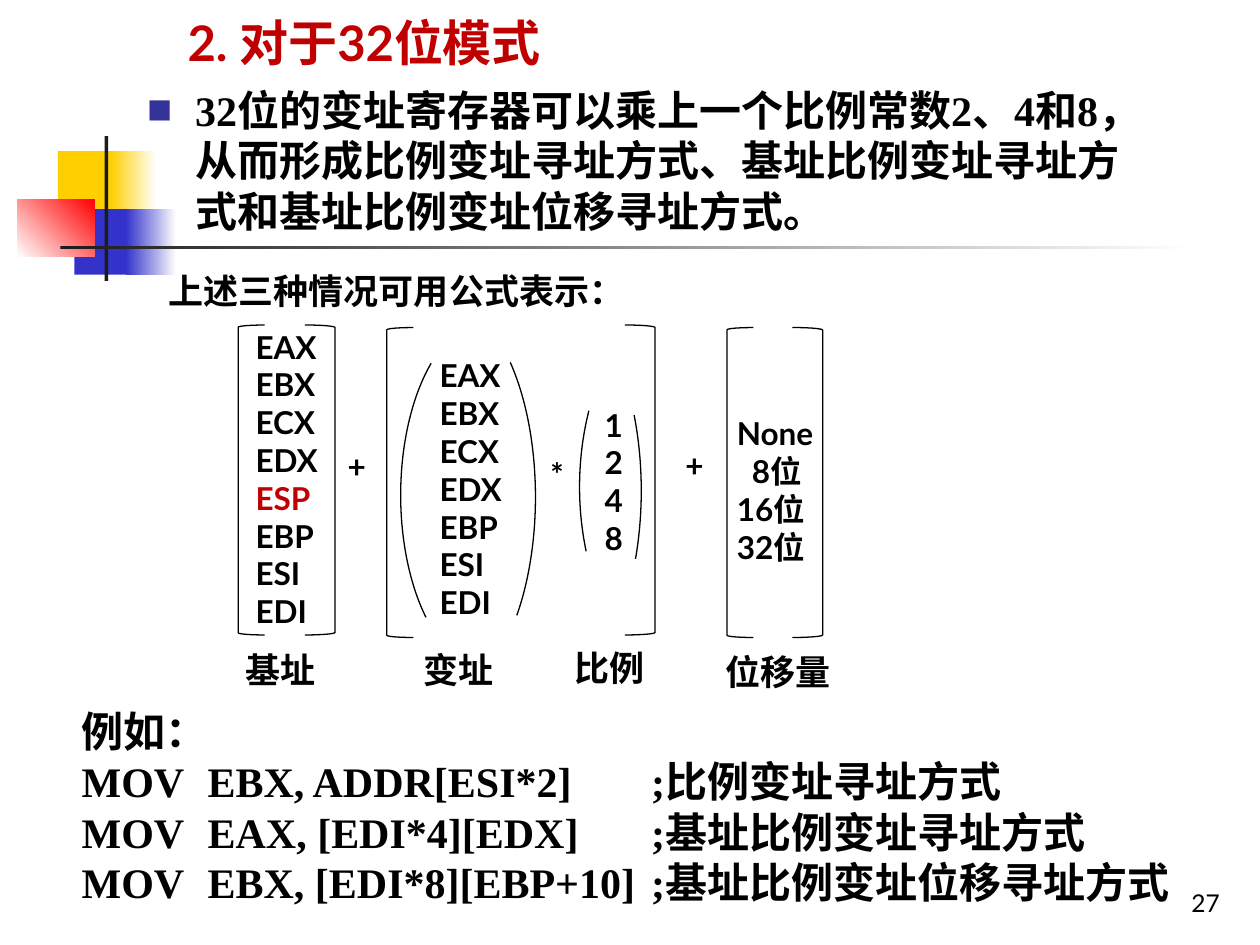
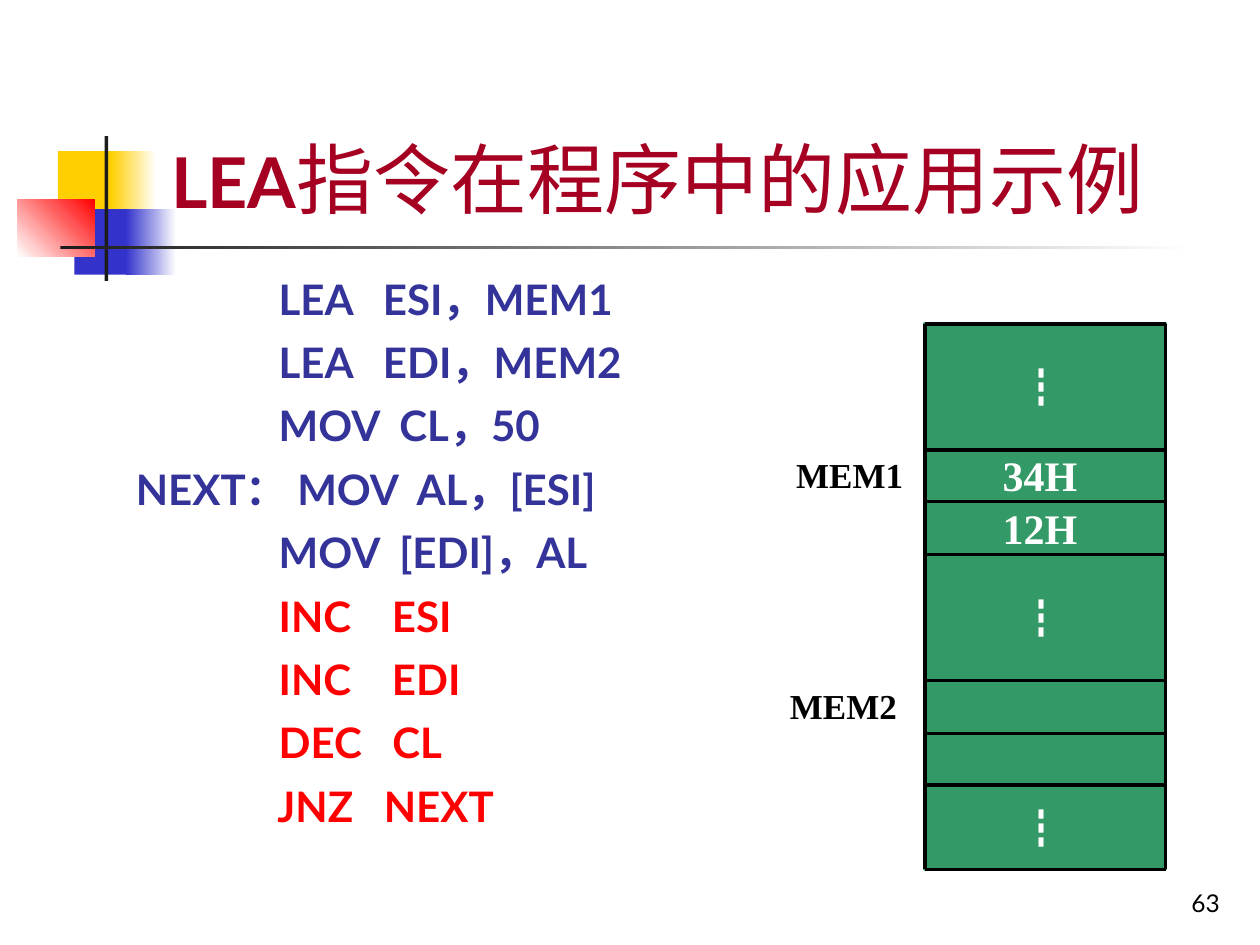
"""Two slides on 32-bit scaled index addressing and the LEA instruction."""
import pptx
import pptx.dml.color
import pptx.enum.shapes
import pptx.enum.text
import pptx.oxml
import pptx.oxml.ns
import pptx.util
from lxml import etree

Inches = pptx.util.Inches
Pt = pptx.util.Pt
RGB = pptx.dml.color.RGBColor.from_string
qn = pptx.oxml.ns.qn
SHAPE = pptx.enum.shapes.MSO_SHAPE
ANCHOR = pptx.enum.text.MSO_ANCHOR
ALIGN = pptx.enum.text.PP_ALIGN

COLORS = {
    "text": "000000", "white": "FFFFFF", "heading": "C00000", "title": "A50021",
    "code": "333399", "loop": "FF0000", "memory": "339966",
    "yellow": "FFCF01", "blue": "3333CC", "red": "FF0000", "rule": "1C1C1C",
}
SANS, SERIF, CJK = "Lato", "Times New Roman", "Noto Sans CJK SC"


def add_text(slide, box, text, size, font=SANS, color="text", bold=True, anchor=ANCHOR.TOP):
    frame = slide.shapes.add_textbox(*map(Inches, box)).text_frame
    frame.word_wrap = True
    frame.vertical_anchor = anchor
    frame.text = text
    for paragraph in frame.paragraphs:
        for run in paragraph.runs:
            run.font.size = Pt(size)
            run.font.name = font
            run.font.bold = bold
            run.font.color.rgb = RGB(COLORS[color])
            etree.SubElement(run._r.get_or_add_rPr(), qn("a:ea"), typeface=CJK)
    return frame.paragraphs


def add_part(slide, kind, box, fill=None, fade=None, angle=0, line=None, width=0.75, flip=False):
    part = slide.shapes.add_shape(kind, *map(Inches, box))
    part.shadow.inherit = False
    if fade:
        part.fill.gradient()
        part.fill.gradient_angle = angle
        for stop, color in zip(part.fill.gradient_stops, (fill, fade)):
            stop.color.rgb = RGB(COLORS[color])
    elif fill:
        part.fill.solid()
        part.fill.fore_color.rgb = RGB(COLORS[fill])
    else:
        part.fill.background()
    if line:
        part.line.color.rgb = RGB(COLORS[line])
        part.line.width = Pt(width)
    else:
        part.line.fill.background()
    if flip:
        part._element.spPr.find(qn("a:xfrm")).set("flipH", "1")
    return part


deck = pptx.Presentation()
deck.slide_width, deck.slide_height = Inches(10), Inches(7.5)

MOTIF = [
    ((0.46, 1.2, 0.48, 0.52), "yellow", None, 0),
    ((0.88, 1.2, 0.36, 0.52), "yellow", "white", 0),
    ((0.59, 1.66, 0.46, 0.52), "blue", None, 0),
    ((1, 1.66, 0.4, 0.52), "blue", "white", 0),
    ((0.14, 1.58, 0.61, 0.46), "white", "red", 45),
    ((0.83, 1.08, 0.03, 1.15), "rule", None, 0),
    ((0.48, 1.95, 9, 0.03), "rule", "white", 0),
]
slides = []
for number in ("27", "63"):
    slide = deck.slides.add_slide(deck.slide_layouts[6])
    for box, fill, fade, angle in MOTIF:
        add_part(slide, SHAPE.RECTANGLE, box, fill, fade, angle)
    footer = add_text(slide, (7.7, 6.83, 2.08, 0.5), number, 14, bold=False, anchor=ANCHOR.BOTTOM)
    footer[0].alignment = ALIGN.RIGHT
    slides.append(slide)
addressing, lea = slides

add_text(addressing, (1.39, 0.05, 7.24, 0.57), "2. 对于32位模式", 28, color="heading")
rule_text = add_text(
    addressing, (1.07, 0.62, 8.19, 1.31),
    "32位的变址寄存器可以乘上一个比例常数2、4和8，从而形成比例变址寻址方式、"
    "基址比例变址寻址方式和基址比例变址位移寻址方式。", 24, SERIF)
bullet = rule_text[0]._p.get_or_add_pPr()
bullet.set("marL", str(Inches(0.38)))
bullet.set("indent", str(Inches(-0.38)))
etree.SubElement(etree.SubElement(bullet, qn("a:buClr")), qn("a:srgbClr"), val=COLORS["code"])
etree.SubElement(bullet, qn("a:buSzPct"), val="60000")
etree.SubElement(bullet, qn("a:buFont"), typeface=CJK)
etree.SubElement(bullet, qn("a:buChar"), char="■")

add_text(addressing, (1.24, 2.09, 5.2, 0.44), "上述三种情况可用公式表示：", 20)

base = add_text(addressing, (1.93, 2.55, 0.87, 2.52),
                "EAX\nEBX\nECX\nEDX\nESP\nEBP\nESI\nEDI", 18)
base[4].runs[0].font.color.rgb = RGB(COLORS["heading"])
add_text(addressing, (3.39, 2.78, 0.87, 2.22), "EAX\nEBX\nECX\nEDX\nEBP\nESI\nEDI", 18)
add_text(addressing, (4.7, 3.17, 0.35, 1.31), "1\n2\n4\n8", 18)
displacement = add_text(addressing, (5.75, 3.24, 0.87, 1.31), "None\n8位\n16位\n32位", 18)
displacement[1]._p.get_or_add_pPr().set("marL", str(Inches(0.12)))

for left, right, top in ((1.89, 2.42, 2.58), (3.07, None, 2.6), (None, 4.96, 2.58), (5.77, 6.29, 2.6)):
    if left:
        add_part(addressing, SHAPE.LEFT_BRACKET, (left, top, 0.21, 2.46), line="text")
    if right:
        add_part(addressing, SHAPE.LEFT_BRACKET, (right, top, 0.24, 2.46), line="text", flip=True)

PARENTHESES = [
    ((2.79, 2.39, 1.46, 3.11), 296.4, 58.2, False),
    ((3.18, 2.55, 1.39, 2.76), 293.4, 63, True),
    ((3.63, 2.34, 1.46, 3.11), 318.3, 38.3, False),
    ((4.6, 2.31, 1.88, 3.11), 325.1, 29.9, True),
]
for box, start, end, flip in PARENTHESES:
    parenthesis = add_part(addressing, SHAPE.ARC, box, line="text", flip=flip)
    parenthesis.adjustments[0] = start * 0.6
    parenthesis.adjustments[1] = end * 0.6

for sign, left, top in (("+", 2.66, 3.5), ("+", 5.34, 3.49), ("*", 4.27, 3.56)):
    add_text(addressing, (left, top, 0.39, 0.5), sign, 18)
for label, left, top, width in (("基址", 1.85, 5.1, 0.77), ("变址", 3.26, 5.1, 0.77),
                                ("比例", 4.46, 5.08, 0.77), ("位移量", 5.66, 5.11, 1.19)):
    add_text(addressing, (left, top, width, 0.44), label, 20)

examples = add_text(
    addressing, (0.55, 5.55, 9.06, 1.7),
    "例如：\n"
    "MOV\tEBX, ADDR[ESI*2]\t;比例变址寻址方式\n"
    "MOV\tEAX, [EDI*4][EDX]\t;基址比例变址寻址方式\n"
    "MOV\tEBX, [EDI*8][EBP+10]\t;基址比例变址位移寻址方式", 24, SERIF)
for instruction in examples[1:]:
    tabs = etree.SubElement(instruction._p.get_or_add_pPr(), qn("a:tabLst"))
    for stop in (1, 4.52):
        etree.SubElement(tabs, qn("a:tab"), pos=str(Inches(stop)), algn="l")

heading = add_text(lea, (1.26, 0.23, 8.52, 1.6), "LEA", 40, color="title", anchor=ANCHOR.BOTTOM)[0]
subject = heading.add_run()
subject.text = "指令在程序中的应用示例"
subject.font.size = Pt(44)
subject.font.name = SANS
subject.font.bold = False
subject.font.color.rgb = RGB(COLORS["title"])
etree.SubElement(subject._r.get_or_add_rPr(), qn("a:ea"), typeface=CJK)

program = """\
              LEA   ESI，MEM1
              LEA   EDI，MEM2
              MOV  CL，50
NEXT： MOV  AL，[ESI]
              MOV  [EDI]，AL
              INC    ESI
              INC    EDI
              DEC   CL
              JNZ   NEXT"""
for row, instruction in enumerate(add_text(lea, (0.98, 2.1, 5.35, 4.72), program, 24, color="code")):
    instruction.line_spacing = 1.05
    instruction.space_before = Pt(4.8 if row else 0)
    instruction.space_after = Pt(1.2)
    if row >= 5:
        instruction.runs[0].font.color.rgb = RGB(COLORS["loop"])

LEFT, RIGHT, TOP, BOTTOM = 7.34, 9.25, 2.57, 6.9
add_part(lea, SHAPE.RECTANGLE, (LEFT, TOP, RIGHT - LEFT, BOTTOM - TOP), "memory", line="memory", width=2)
edges = [(x, TOP, x, BOTTOM) for x in (LEFT, RIGHT)]
edges += [(LEFT, y, RIGHT, y) for y in (TOP, 3.57, 3.98, 4.4, 5.4, 5.82, 6.23, BOTTOM)]
for edge in edges:
    border = lea.shapes.add_connector(pptx.enum.shapes.MSO_CONNECTOR.STRAIGHT, *map(Inches, edge))
    border.line.color.rgb = RGB(COLORS["text"])
    border.line.width = Pt(2)
    etree.SubElement(border._element.spPr, qn("a:effectLst"))

for top in (2.82, 4.65, 6.32):
    add_text(lea, (8, top, 0.67, 0.5), "┇", 24, CJK, "white", bold=False)
for value, top in (("34H", 3.52), ("12H", 3.94)):
    add_text(lea, (7.86, top, 0.83, 0.5), value, 24, SERIF, "white")
for address, left, top in (("MEM1", 6.22, 3.55), ("MEM2", 6.17, 5.38)):
    add_text(lea, (left, top, 1.15, 0.43), address, 20, SERIF)

deck.save("out.pptx")
